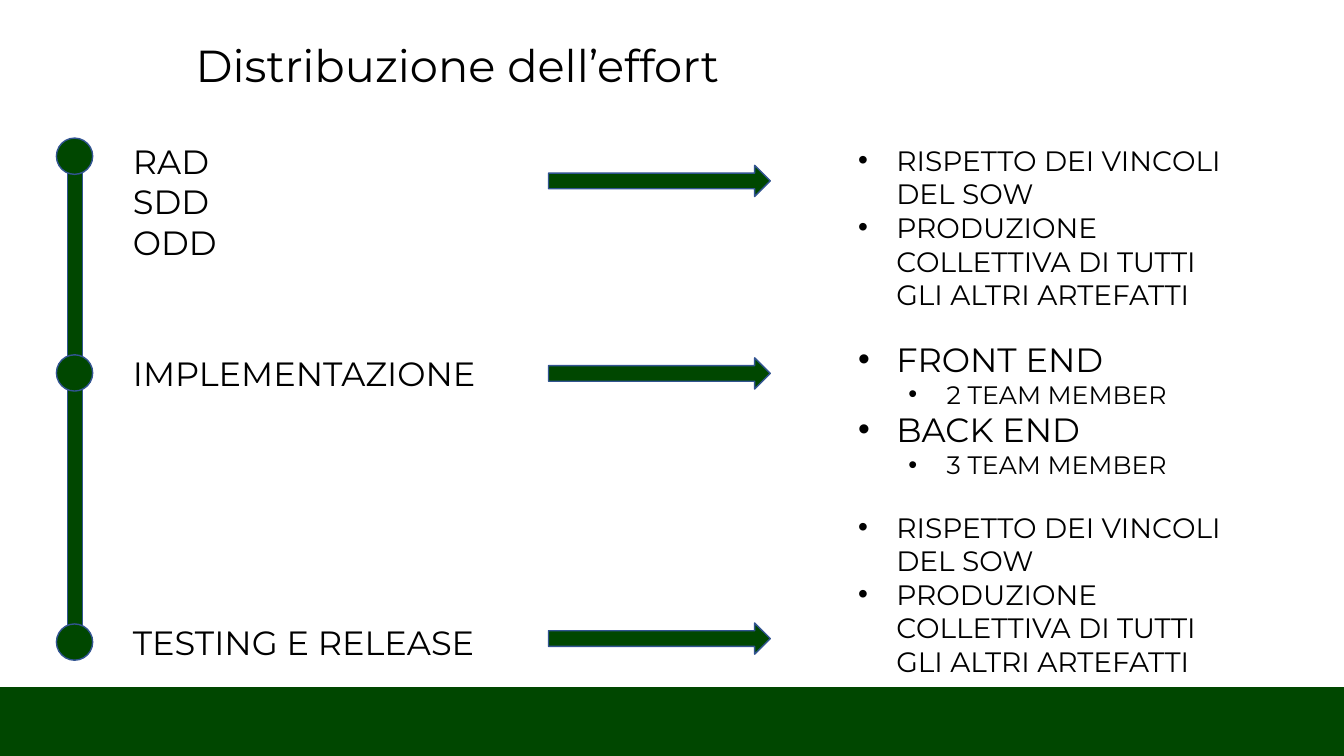
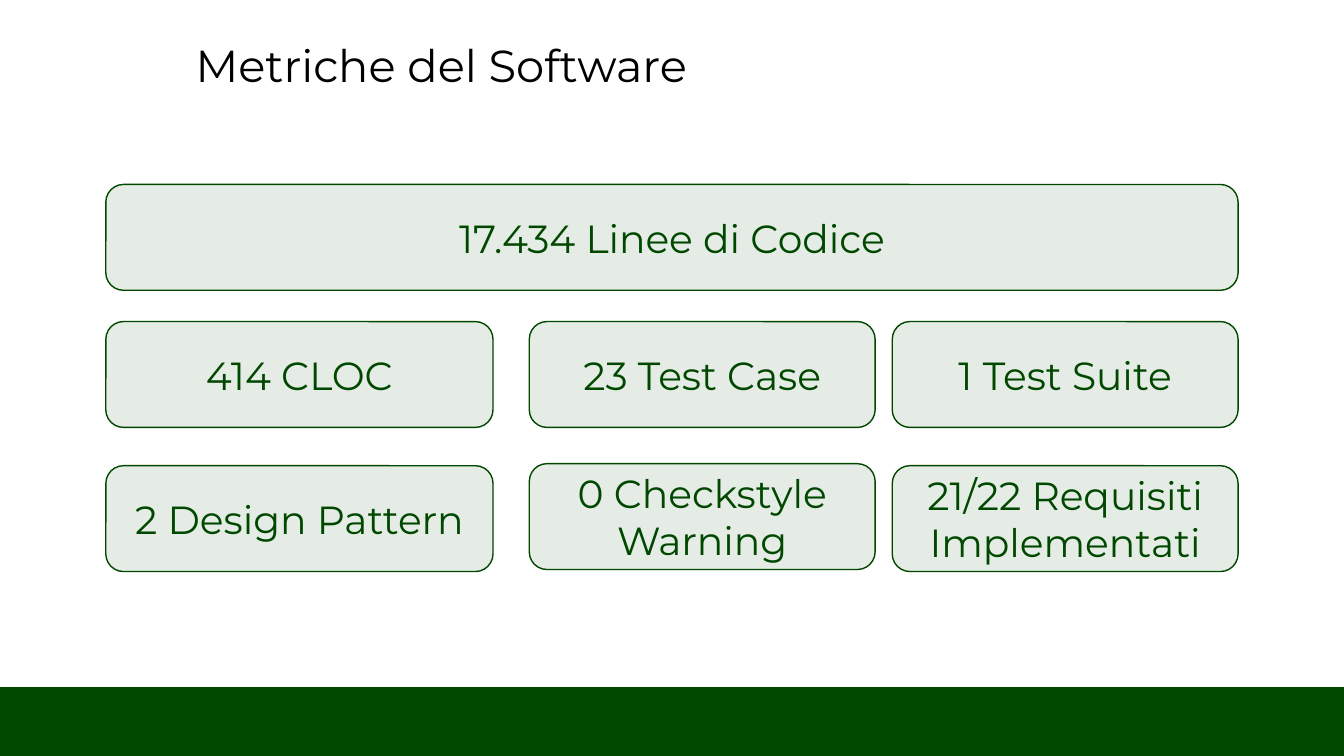
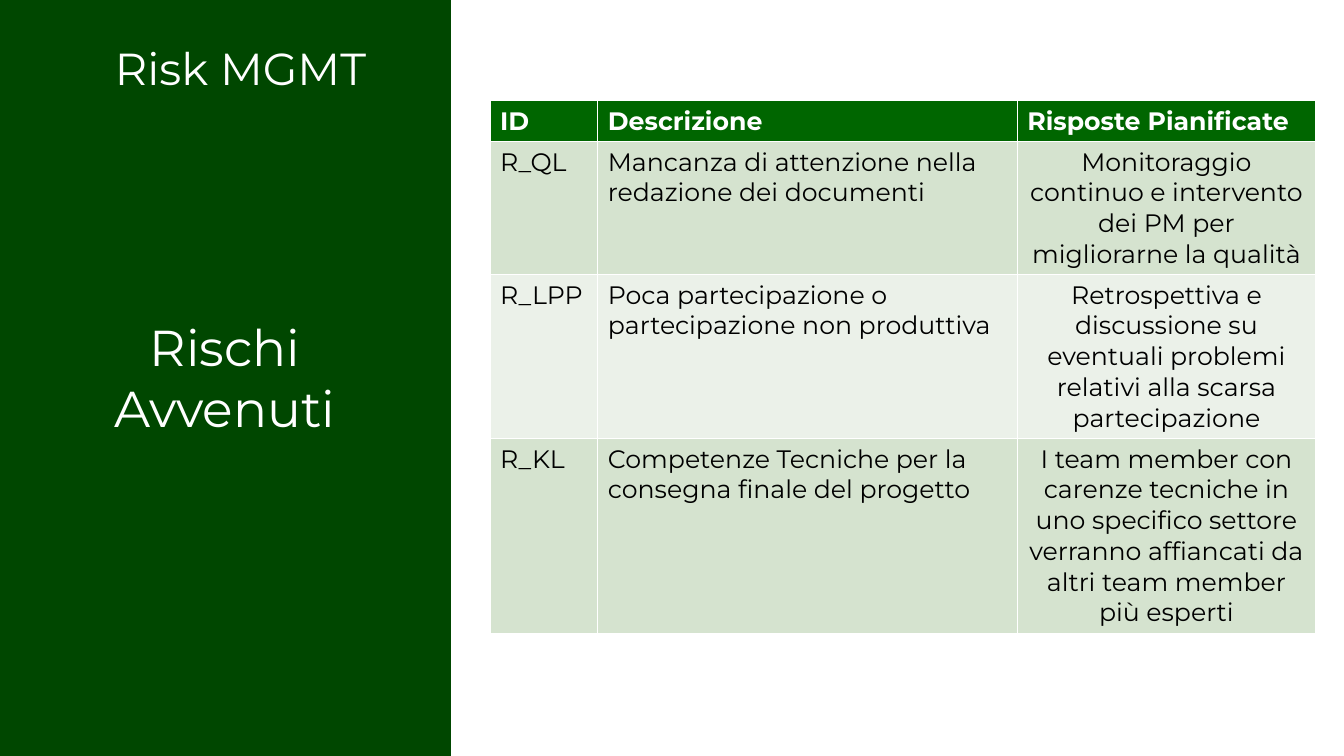
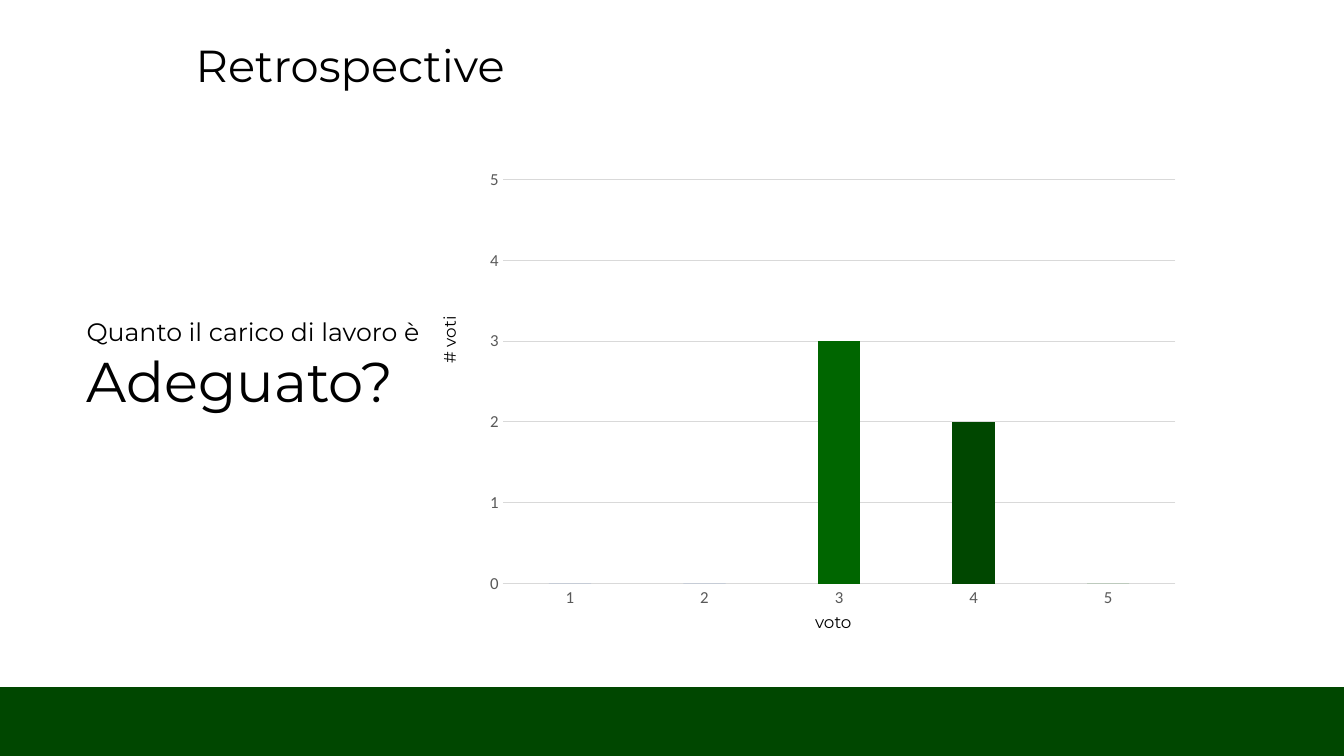
"""Build four project review slides: effort, metrics, risks and retrospective."""
from lxml.etree import SubElement
from pptx import Presentation
from pptx.chart.data import CategoryChartData
from pptx.dml.color import RGBColor
from pptx.enum.chart import XL_CHART_TYPE as ChartType, XL_TICK_MARK as TickMark
from pptx.enum.shapes import MSO_SHAPE as Preset
from pptx.enum.text import MSO_ANCHOR as Anchor, MSO_AUTO_SIZE as AutoSize, PP_ALIGN as Align
from pptx.oxml.ns import qn
from pptx.util import Inches, Pt

FONT = "Montserrat"
GREEN, MID_GREEN, BLUE = "004700", "006600", "325491"
BLACK, WHITE, GREY, LIGHT_GREY = "000000", "FFFFFF", "595959", "D9D9D9"
TITLE_ONLY, COMPARISON = 5, 4
color = RGBColor.from_string


def add_box(slide, preset, left, top, width, height, outline=GREEN):
    shape = slide.shapes.add_shape(preset, Inches(left), Inches(top), Inches(width), Inches(height))
    shape.shadow.inherit = False
    shape.fill.solid()
    shape.fill.fore_color.rgb = color(GREEN)
    shape.line.color.rgb = color(outline)
    shape.line.width = Pt(1)
    return shape


def write(holder, text, sizes, ink=BLACK, align=Align.LEFT, anchor=Anchor.TOP, bold=False):
    frame = holder.text_frame
    frame.text = text
    frame.word_wrap = True
    frame.auto_size = AutoSize.NONE
    frame.vertical_anchor = anchor
    for index, paragraph in enumerate(frame.paragraphs):
        paragraph.alignment = align
        paragraph.space_before = Pt(0)
        for run in paragraph.runs:
            run.font.name = FONT
            run.font.size = Pt(sizes[index % len(sizes)])
            run.font.bold = bold
            run.font.color.rgb = color(ink)


presentation = Presentation()
presentation.slide_width, presentation.slide_height = Inches(13.33), Inches(7.5)

footer_band = (0, 6.82, 13.33, 0.68)
side_panel = (0, 0, 4.47, 7.5)
title_place = (1.84, 0.32, 7.32, 0.64)
slides = []
for layout, title, place, ink, band in [
    (COMPARISON, "Distribuzione dell’effort", title_place, BLACK, footer_band),
    (TITLE_ONLY, "Metriche del Software", title_place, BLACK, footer_band),
    (TITLE_ONLY, "Risk MGMT", (1.04, 0.35, 3.19, 0.64), WHITE, side_panel),
    (TITLE_ONLY, "Retrospective", title_place, BLACK, footer_band),
]:
    slide = presentation.slides.add_slide(presentation.slide_layouts[layout])
    heading = slide.shapes.title
    heading.left, heading.top, heading.width, heading.height = map(Inches, place)
    write(heading, title, [32], ink)
    heading.element.addprevious(add_box(slide, Preset.RECTANGLE, *band).element)
    slides.append(slide)
effort, metrics, risks, retrospective = slides

add_box(effort, Preset.RECTANGLE, 0.67, 1.54, 0.15, 4.96, BLUE)
documents = [
    ("RISPETTO DEI VINCOLI DEL SOW", 20, 0),
    ("PRODUZIONE COLLETTIVA DI TUTTI GLI ALTRI ARTEFATTI", 20, 0),
]
teams = [
    ("FRONT END", 24, 0),
    ("2 TEAM MEMBER", 18, 1),
    ("BACK END", 24, 0),
    ("3 TEAM MEMBER", 18, 1),
]
phases = [
    (1.37, "RAD\nSDD\nODD", 1.35, 1.31, 1.64, documents, 1.37, 1.78),
    (3.52, "IMPLEMENTAZIONE", 3.45, 0.5, 3.55, teams, 3.31, 1.55),
    (6.19, "TESTING E RELEASE", 6.12, 0.5, 6.18, documents, 5.01, 1.78),
]
bodies = list(effort.placeholders)[1:]
for body, phase in zip(bodies, phases):
    dot_top, label, label_top, label_height, arrow_top, items, list_top, list_height = phase
    add_box(effort, Preset.OVAL, 0.56, dot_top, 0.36, 0.36, BLUE)
    add_box(effort, Preset.RIGHT_ARROW, 5.44, arrow_top, 2.2, 0.31, BLUE)
    label_box = effort.shapes.add_textbox(Inches(1.22), Inches(label_top), Inches(3.7), Inches(label_height))
    write(label_box, label, [24])
    body.left, body.top = Inches(8.41), Inches(list_top)
    body.width, body.height = Inches(3.87), Inches(list_height)
    write(body, "\n".join(text for text, _, _ in items), [size for _, size, _ in items])
    for paragraph, (_, _, level) in zip(body.text_frame.paragraphs, items):
        paragraph.level = level
        properties = paragraph._p.get_or_add_pPr()
        properties.set("marL", str(Inches(0.38 + 0.5 * level)))
        properties.set("indent", str(Inches(-0.38)))
        SubElement(properties, qn("a:buFont")).set("typeface", "Arial")
        SubElement(properties, qn("a:buChar")).set("char", "•")
for body in bodies[len(phases):]:
    body.element.getparent().remove(body.element)

for text, left, top, width in [
    ("17.434 Linee di Codice", 1.05, 1.83, 11.23),
    ("414 CLOC", 1.05, 3.19, 3.84),
    ("23 Test Case", 5.25, 3.19, 3.43),
    ("1 Test Suite", 8.85, 3.19, 3.43),
    ("2 Design Pattern", 1.05, 4.62, 3.84),
    ("0 Checkstyle Warning", 5.25, 4.6, 3.43),
    ("21/22 Requisiti Implementati", 8.85, 4.62, 3.43),
]:
    card = add_box(metrics, Preset.ROUNDED_RECTANGLE, left, top, width, 1.05)
    SubElement(card.element.spPr.find(".//" + qn("a:srgbClr")), qn("a:alpha")).set("val", "10000")
    write(card, text, [28], GREEN, Align.CENTER, Anchor.MIDDLE)

subtitle = risks.shapes.add_textbox(Inches(0.56), Inches(3.09), Inches(3.34), Inches(1.31))
write(subtitle, "Rischi\nAvvenuti", [36], WHITE, Align.CENTER)
rows = [
    ("ID", "Descrizione", "Risposte Pianificate"),
    ("R_QL", "Mancanza di attenzione nella redazione dei documenti",
     "Monitoraggio continuo e intervento dei PM per migliorarne la qualità"),
    ("R_LPP", "Poca partecipazione o partecipazione non produttiva",
     "Retrospettiva e discussione su eventuali problemi relativi alla scarsa partecipazione"),
    ("R_KL", "Competenze Tecniche per la consegna finale del progetto",
     "I team member con carenze tecniche in uno specifico settore\n"
     "verranno affiancati da altri team member più esperti"),
]
table = risks.shapes.add_table(4, 3, Inches(4.86), Inches(1), Inches(8.19), Inches(5.2)).table
for column, width in zip(table.columns, (1.07, 4.16, 2.96)):
    column.width = Inches(width)
for row, height in zip(table.rows, (0.4, 1.3, 1.6, 1.9)):
    row.height = Inches(height)
row_fills = (MID_GREEN, "D5E3CF", "EBF1E9", "D5E3CF")
for row_index, texts in enumerate(rows):
    is_header = row_index == 0
    for column_index, text in enumerate(texts):
        cell = table.cell(row_index, column_index)
        cell.fill.solid()
        cell.fill.fore_color.rgb = color(row_fills[row_index])
        align = Align.CENTER if column_index == 2 and not is_header else Align.LEFT
        write(cell, text, [18], WHITE if is_header else BLACK, align, bold=is_header)

question = retrospective.shapes.add_textbox(Inches(0.76), Inches(3.09), Inches(3.55), Inches(1.08))
write(question, "Quanto il carico di lavoro è\nAdeguato?", [18, 40])

votes = CategoryChartData()
votes.categories = ["1", "2", "3", "4", "5"]
votes.add_series("Series 1", (0, 0, 3, 2, 0))
chart = retrospective.shapes.add_chart(
    ChartType.COLUMN_CLUSTERED, Inches(4.72), Inches(1.59), Inches(7.08), Inches(4.53), votes).chart
chart.has_title = False
chart.has_legend = False
chart.font.name = "Calibri"
chart.font.size = Pt(12)
chart.font.color.rgb = color(GREY)
plot = chart.plots[0]
plot.gap_width, plot.overlap = 219, -27
plot.vary_by_categories = False
series = plot.series[0]
series.format.fill.solid()
series.format.fill.fore_color.rgb = color("4472C4")
for index, fill in [(2, MID_GREEN), (3, GREEN), (4, MID_GREEN)]:
    point_fill = series.points[index].format.fill
    point_fill.solid()
    point_fill.fore_color.rgb = color(fill)
value_axis = chart.value_axis
value_axis.minimum_scale, value_axis.maximum_scale, value_axis.major_unit = 0, 5, 1
value_axis.major_tick_mark = chart.category_axis.major_tick_mark = TickMark.NONE
value_axis.format.line.fill.background()
for line in (value_axis.major_gridlines.format.line, chart.category_axis.format.line):
    line.color.rgb = color(LIGHT_GREY)
    line.width = Pt(0.75)

for text, left, top, rotation in [("voto", 7.07, 6.02, 0), ("# voti", 3.26, 3.22, 270)]:
    axis_label = retrospective.shapes.add_textbox(Inches(left), Inches(top), Inches(2.39), Inches(0.3))
    axis_label.rotation = rotation
    write(axis_label, text, [12], align=Align.CENTER)

presentation.save("out.pptx")
